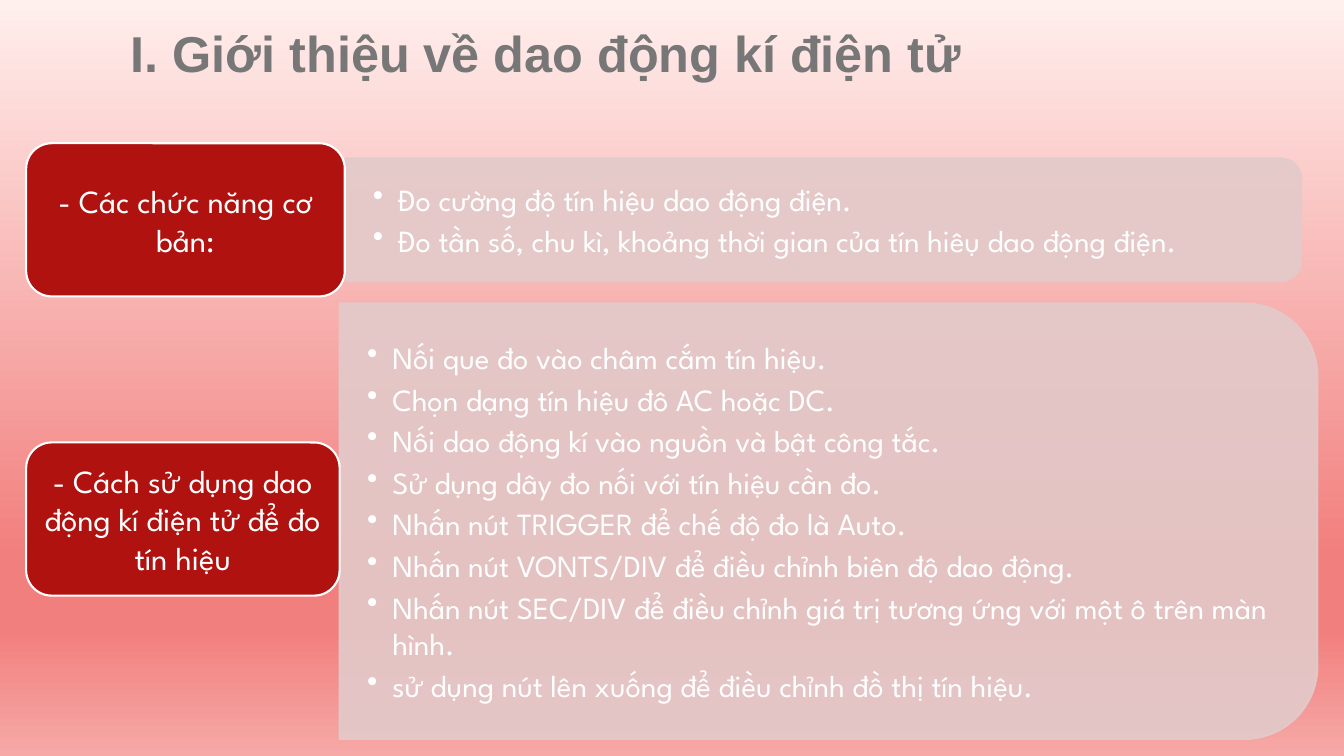
"""Builds a slide introducing the electronic oscilloscope: functions and usage."""
from lxml import etree
from pptx import Presentation
from pptx.dml.color import RGBColor
from pptx.enum.shapes import MSO_SHAPE
from pptx.enum.text import MSO_ANCHOR, PP_ALIGN
from pptx.oxml.ns import qn
from pptx.util import Cm, Pt

ROUNDED = MSO_SHAPE.ROUNDED_RECTANGLE
ROUNDED_TOP = MSO_SHAPE.ROUND_2_SAME_RECTANGLE
TOP, MIDDLE = MSO_ANCHOR.TOP, MSO_ANCHOR.MIDDLE
LEFT, CENTER = PP_ALIGN.LEFT, PP_ALIGN.CENTER

COLORS = {"title": "777777", "label": "B01210", "panel": "E3CACA", "white": "FFFFFF"}
BACKGROUND = [(0, "FFEFED"), (74, "F17F7D"), (83, "F17F7D"), (100, "F6A9A7")]
BODY_FONT = "League Spartan"
CORNER = 0.167
CORNER_INSET = 0.049

ROWS = [
    {
        "label": "- Các chức năng cơ bản:",
        "label_box": (0.66, 3.61, 8.03, 3.86),
        "panel_box": (8.71, 3.99, 24.08, 3.1),
        "points": [
            "Đo cường độ tín hiệu dao động điện.",
            "Đo tần số, chu kì, khoảng thời gian của tín hiêụ dao động điện.",
        ],
    },
    {
        "label": "- Cách sử dụng dao động kí điện tử để đo tín hiệu",
        "label_box": (0.66, 11.15, 7.9, 3.86),
        "panel_box": (8.56, 7.65, 24.64, 10.97),
        "points": [
            "Nối que đo vào châm cắm tín hiệu.",
            "Chọn dạng tín hiệu đô AC hoặc DC.",
            "Nối dao động kí vào nguồn và bật công tắc.",
            "Sử dụng dây đo nối với tín hiệu cần đo.",
            "Nhấn nút TRIGGER để chế độ đo là Auto.",
            "Nhấn nút VONTS/DIV để điều chỉnh biên độ dao động.",
            "Nhấn nút SEC/DIV để điều chỉnh giá trị tương ứng với một ô trên màn hình.",
            "sử dụng nút lên xuống để điều chỉnh đồ thị tín hiệu.",
        ],
    },
]


def write(shape, lines, size, color, font, align, anchor, insets, bold=False, bullets=False):
    """Fill a shape with one paragraph per line."""
    frame = shape.text_frame
    frame.word_wrap = True
    frame.vertical_anchor = anchor
    frame.margin_left = frame.margin_right = Cm(insets[0])
    frame.margin_top = frame.margin_bottom = Cm(insets[1])
    for index, line in enumerate(lines):
        para = frame.add_paragraph() if index else frame.paragraphs[0]
        para.alignment = align
        if bullets:
            para.level = 1
            if index:
                para.space_before = Pt(3.3)
            properties = para._p.get_or_add_pPr()
            properties.set("marL", str(Cm(0.64)))
            properties.set("indent", str(-Cm(0.64)))
            etree.SubElement(properties, qn("a:buChar"), char="•")
        span = para.add_run()
        span.text = line
        span.font.name = font
        span.font.size = Pt(size)
        span.font.bold = bold
        span.font.color.rgb = RGBColor.from_string(COLORS[color])


def add_block(kind, box, fill, line, adjustments):
    """Add a filled and outlined preset shape without shadow."""
    shape = page.shapes.add_shape(kind, *map(Cm, box))
    shape.shadow.inherit = False
    for index, value in enumerate(adjustments):
        shape.adjustments[index] = value
    shape.fill.solid()
    shape.fill.fore_color.rgb = RGBColor.from_string(COLORS[fill])
    shape.line.color.rgb = RGBColor.from_string(COLORS[line])
    shape.line.width = Pt(1.5)
    return shape


deck = Presentation()
deck.slide_width, deck.slide_height = Cm(33.87), Cm(19.05)
page = deck.slides.add_slide(deck.slide_layouts[6])

backdrop = page.background.fill
backdrop.gradient()
backdrop.gradient_angle = 270
stops = page._element.find(".//" + qn("a:gsLst"))
for stop in list(stops):
    stops.remove(stop)
for percent, color in BACKGROUND:
    stop = etree.SubElement(stops, qn("a:gs"), pos=str(percent * 1000))
    etree.SubElement(stop, qn("a:srgbClr"), val=color)

title = page.shapes.add_textbox(Cm(3.05), Cm(0.43), Cm(27.79), Cm(3.18))
write(title, ["I. Giới thiệu về dao động kí điện tử"], 36, "title", "Arial",
      LEFT, TOP, (0.25, 0.13), bold=True)

for row in ROWS:
    left, top, width, height = row["panel_box"]
    upright = (left + (width - height) / 2, top + (height - width) / 2, height, width)
    panel = add_block(ROUNDED_TOP, upright, "panel", "panel", (CORNER, 0))
    panel.rotation = 90
    for color in panel._element.spPr.iter(qn("a:srgbClr")):
        etree.SubElement(color, qn("a:alpha"), val="90000")

    inset = height * CORNER_INSET
    points = page.shapes.add_textbox(
        Cm(left), Cm(top + inset), Cm(width - inset), Cm(height - 2 * inset))
    write(points, row["points"], 22, "white", BODY_FONT,
          LEFT, MIDDLE, (0.69, 0.36), bullets=True)

    label = add_block(ROUNDED, row["label_box"], "label", "white", (CORNER,))
    write(label, [row["label"]], 23, "white", BODY_FONT, CENTER, MIDDLE, (0.25, 0.13))

deck.save("out.pptx")
